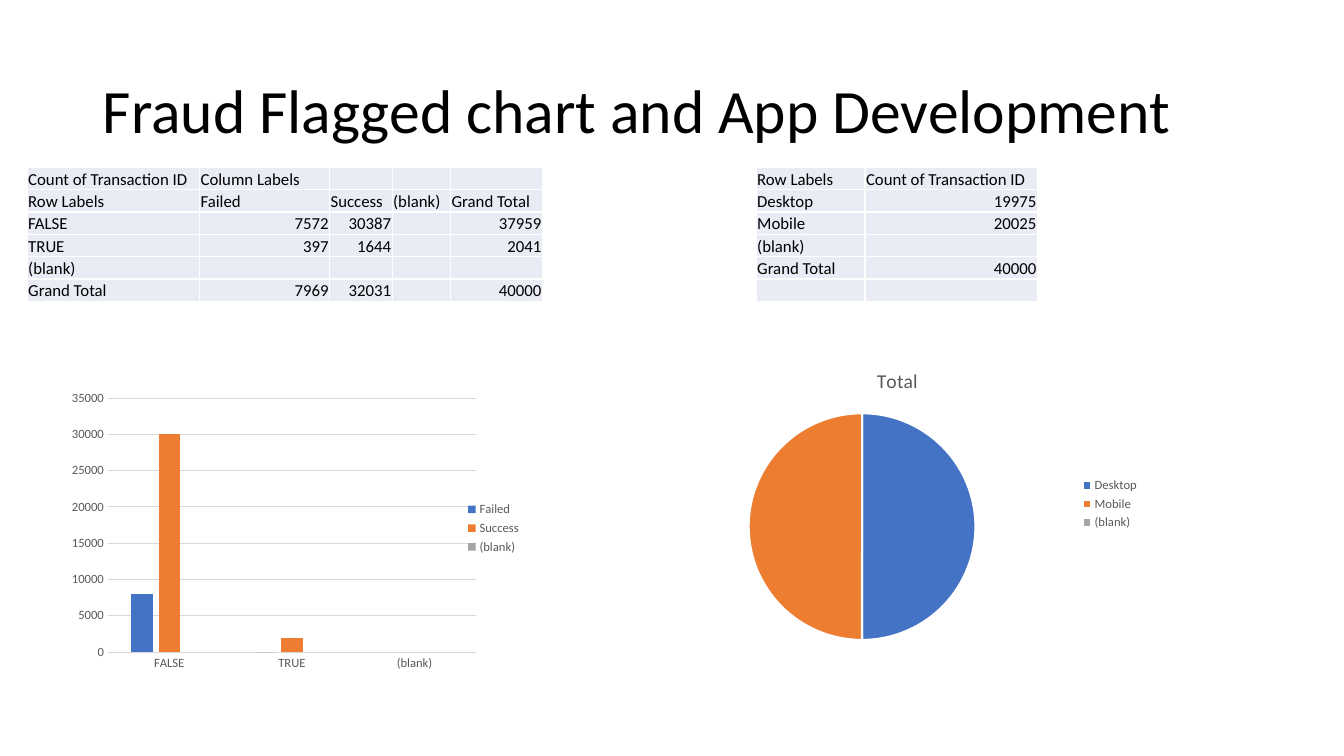
import dataclasses

import lxml.etree
import pptx
import pptx.chart.data
import pptx.dml.color
import pptx.enum.chart
import pptx.enum.text
import pptx.oxml
import pptx.oxml.ns
import pptx.util

Inches = pptx.util.Inches
Pt = pptx.util.Pt
RGB = pptx.dml.color.RGBColor.from_string


@dataclasses.dataclass(frozen=True)
class Theme:
    font: str = "Calibri"
    text: str = "000000"
    chart_text: str = "595959"
    grid: str = "D9D9D9"
    cell: str = "E9EBF5"
    white: str = "FFFFFF"
    series: tuple = ("4472C4", "ED7D31", "A5A5A5")
    title_size: int = 44
    table_size: int = 12
    chart_title_size: int = 14
    label_size: int = 9


@dataclasses.dataclass(frozen=True)
class Box:
    left: float
    top: float
    width: float
    height: float

    def lengths(self):
        return [Inches(value) for value in dataclasses.astuple(self)]


THEME = Theme()

FRAUD_ROWS = [
    ["Count of Transaction ID", "Column Labels", None, None, None],
    ["Row Labels", "Failed", "Success", "(blank)", "Grand Total"],
    ["FALSE", 7572, 30387, None, 37959],
    ["TRUE", 397, 1644, None, 2041],
    ["(blank)", None, None, None, None],
    ["Grand Total", 7969, 32031, None, 40000],
]
DEVICE_ROWS = [
    ["Row Labels", "Count of Transaction ID"],
    ["Desktop", 19975],
    ["Mobile", 20025],
    ["(blank)", None],
    ["Grand Total", 40000],
    [None, None],
]


def style_font(font, size, color):
    font.name = THEME.font
    font.size = Pt(size)
    font.color.rgb = RGB(color)


def add_title(page, box, text):
    title = page.shapes.title
    title.left, title.top, title.width, title.height = box.lengths()
    frame = title.text_frame
    frame.text = text
    frame.vertical_anchor = pptx.enum.text.MSO_ANCHOR.MIDDLE
    para = frame.paragraphs[0]
    para.alignment = pptx.enum.text.PP_ALIGN.LEFT
    para.line_spacing = 0.9
    style_font(para.font, THEME.title_size, THEME.text)


def add_pivot_table(page, box, rows, widths):
    frame = page.shapes.add_table(len(rows), len(widths), *box.lengths())
    table = frame.table
    table.first_row = table.horz_banding = False
    for column, width in zip(table.columns, widths):
        column.width = Inches(width)
    for row_index, values in enumerate(rows):
        for column_index, value in enumerate(values):
            fill_cell(table.cell(row_index, column_index), value)


def fill_cell(cell, value):
    cell.fill.solid()
    cell.fill.fore_color.rgb = RGB(THEME.cell)
    cell.margin_left = cell.margin_right = cell.margin_top = Inches(0.01)
    cell.margin_bottom = 0
    cell.vertical_anchor = pptx.enum.text.MSO_ANCHOR.BOTTOM
    para = cell.text_frame.paragraphs[0]
    style_font(para.font, THEME.table_size, THEME.text)
    if value is None:
        # An empty cell takes its line height from the end-of-paragraph mark
        mark = lxml.etree.SubElement(para._p, pptx.oxml.ns.qn("a:endParaRPr"))
        mark.set("sz", str(THEME.table_size * 100))
        return
    para.add_run().text = str(value)
    if isinstance(value, int):
        para.alignment = pptx.enum.text.PP_ALIGN.RIGHT


def to_thousands(count):
    return None if count is None else round(count, -3)


def to_percent(count, total):
    return None if count is None else round(100 * count / total)


def add_base_chart(page, box, kind, categories, series):
    """Add a chart with the shared font and a legend on the right."""
    data = pptx.chart.data.CategoryChartData()
    data.categories = categories
    for name, values in series:
        data.add_series(name, values)
    chart = page.shapes.add_chart(kind, *box.lengths(), data).chart
    style_font(chart.font, THEME.label_size, THEME.chart_text)
    chart.has_legend = True
    chart.legend.position = pptx.enum.chart.XL_LEGEND_POSITION.RIGHT
    chart.legend.include_in_layout = False
    style_font(chart.legend.font, THEME.label_size, THEME.chart_text)
    return chart


def place_plot(chart, x, y, w, h):
    """Fix the inner plot area, in fractions of the chart."""
    area = chart._chartSpace.chart.plotArea
    for old in area.findall(pptx.oxml.ns.qn("c:layout")):
        area.remove(old)
    parts = "".join(f'<c:{key} val="{value}"/>' for key, value in
                    dict(x=x, y=y, w=w, h=h).items())
    area.insert(0, pptx.oxml.parse_xml(
        f'<c:layout {pptx.oxml.ns.nsdecls("c")}><c:manualLayout>'
        '<c:layoutTarget val="inner"/><c:xMode val="edge"/><c:yMode val="edge"/>'
        f'{parts}</c:manualLayout></c:layout>'))


def add_fraud_chart(page, box):
    names = FRAUD_ROWS[1][1:4]
    body = FRAUD_ROWS[2:5]
    series = [(name, [to_thousands(row[index]) for row in body])
              for index, name in enumerate(names, start=1)]
    chart = add_base_chart(
        page, box, pptx.enum.chart.XL_CHART_TYPE.COLUMN_CLUSTERED,
        [row[0] for row in body], series)
    chart.has_title = False
    place_plot(chart, 0.16, 0.07, 0.73, 0.84)
    plot = chart.plots[0]
    plot.vary_by_categories = False
    plot.gap_width, plot.overlap = 219, -27
    for bars, color in zip(plot.series, THEME.series):
        bars.format.fill.solid()
        bars.format.fill.fore_color.rgb = RGB(color)

    # Axes and grid
    for axis in (chart.category_axis, chart.value_axis):
        axis.major_tick_mark = pptx.enum.chart.XL_TICK_MARK.NONE
        axis.minor_tick_mark = pptx.enum.chart.XL_TICK_MARK.NONE
        style_font(axis.tick_labels.font, THEME.label_size, THEME.chart_text)
    chart.value_axis.minimum_scale = 0
    chart.value_axis.maximum_scale = 35000
    chart.value_axis.major_unit = 5000
    chart.value_axis.format.line.fill.background()
    chart.value_axis.has_major_gridlines = True
    for line in (chart.category_axis.format.line,
                 chart.value_axis.major_gridlines.format.line):
        line.color.rgb = RGB(THEME.grid)
        line.width = Pt(0.75)


def add_device_chart(page, box):
    body = DEVICE_ROWS[1:4]
    total = DEVICE_ROWS[4][1]
    shares = [to_percent(row[1], total) for row in body]
    chart = add_base_chart(page, box, pptx.enum.chart.XL_CHART_TYPE.PIE,
                           [row[0] for row in body], [("Total", shares)])
    chart.has_title = True
    chart.chart_title.include_in_layout = False
    frame = chart.chart_title.text_frame
    frame.text = "Total"
    para = frame.paragraphs[0]
    style_font(para.font, THEME.chart_title_size, THEME.chart_text)
    para.font.bold = False
    place_plot(chart, 0.2, 0.2, 0.46, 0.75)
    pie = chart.plots[0].series[0]
    for index, color in enumerate(THEME.series):
        look = pie.points[index].format
        look.fill.solid()
        look.fill.fore_color.rgb = RGB(color)
        look.line.color.rgb = RGB(THEME.white)
        look.line.width = Pt(1.5)


def main():
    deck = pptx.Presentation()
    deck.slide_width, deck.slide_height = Inches(13.33), Inches(7.5)
    page = deck.slides.add_slide(deck.slide_layouts.get_by_name("Title Only"))
    add_title(page, Box(0.92, 0.4, 11.5, 1.45),
              "Fraud Flagged chart and App Development")
    # Fraud flags on the left
    add_pivot_table(page, Box(0.27, 1.66, 5.11, 1.33), FRAUD_ROWS,
                    [1.71, 1.29, 0.62, 0.58, 0.91])
    add_fraud_chart(page, Box(0.27, 3.74, 5, 3))
    # Devices on the right
    add_pivot_table(page, Box(7.5, 1.66, 2.79, 1.33), DEVICE_ROWS, [1.08, 1.71])
    add_device_chart(page, Box(6.4, 3.5, 5, 3))
    deck.save("out.pptx")


if __name__ == "__main__":
    main()
